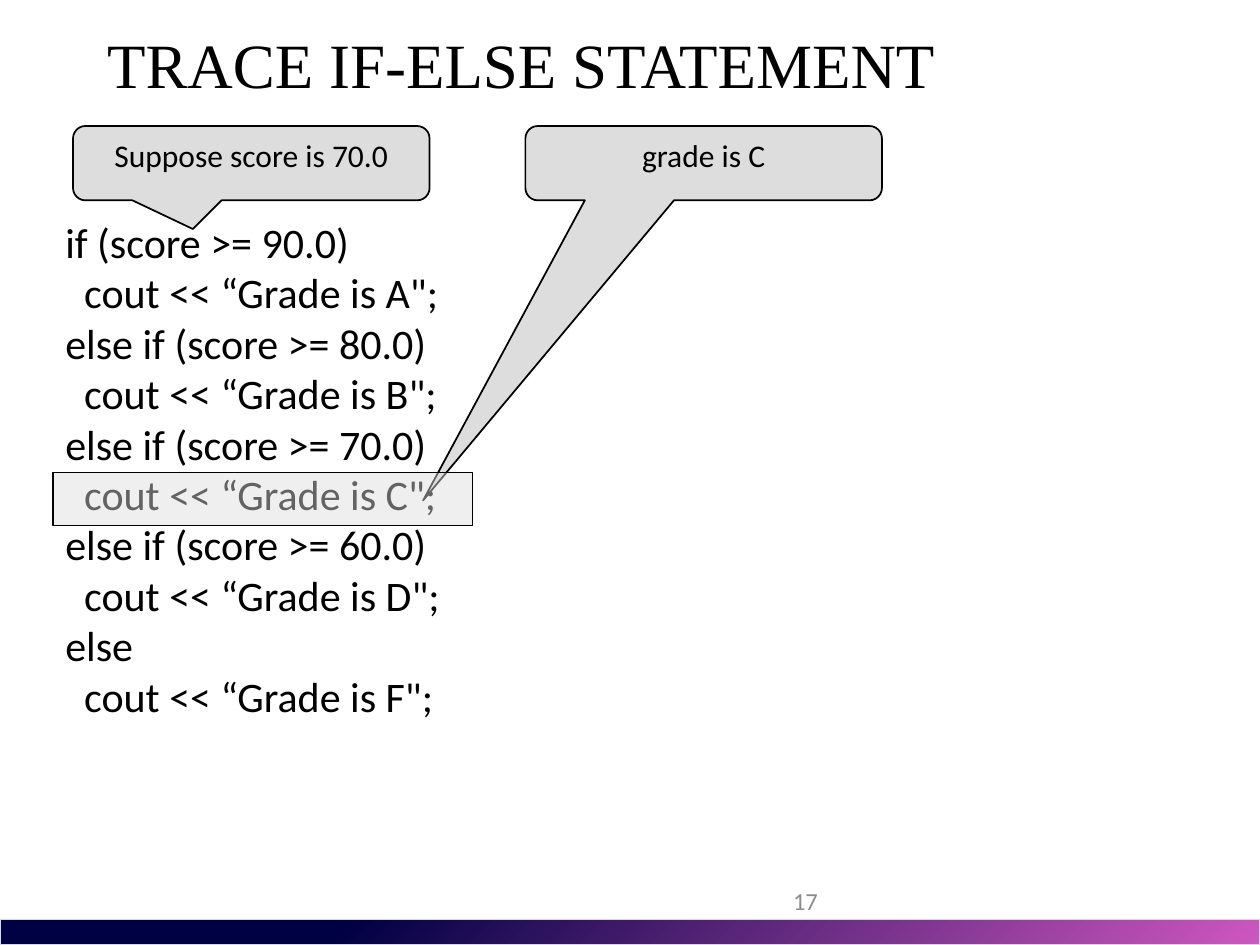
from dataclasses import dataclass

from pptx import Presentation
from pptx.dml.color import RGBColor
from pptx.enum.shapes import MSO_SHAPE
from pptx.enum.text import MSO_ANCHOR, MSO_AUTO_SIZE, PP_ALIGN
from pptx.oxml import parse_xml
from pptx.oxml.ns import nsdecls, qn
from pptx.util import Inches, Pt

BLACK = RGBColor(0x00, 0x00, 0x00)
GREY = RGBColor(0xDD, 0xDD, 0xDD)
PAGE_GREY = RGBColor(0x8C, 0x8C, 0x8C)
EDGE_GREY = RGBColor(0xD8, 0xD8, 0xD8)
NAVY = RGBColor(0x00, 0x00, 0x44)
PINK = RGBColor(0xCE, 0x57, 0xC1)

CODE_INDENT = Inches(0.15)
SHADOW = (
    f'<a:effectLst {nsdecls("a")}><a:outerShdw blurRad="39370" dist="22860" dir="5400000" '
    'rotWithShape="0"><a:srgbClr val="000000"><a:alpha val="35000"/></a:srgbClr>'
    '</a:outerShdw></a:effectLst>'
)


@dataclass
class Callout:
    text: str
    left: float
    tip_x: float
    tip_y: float


@dataclass
class CodeLine:
    text: str
    indented: bool = False


CALLOUTS = [
    Callout("Suppose score is 70.0", 0.58, -0.164, 0.885),
    Callout("grade is C", 4.17, -0.787, 4.536),
]

BRANCHES = [
    ("if (score >= 90.0)", "A"),
    ("else if (score >= 80.0)", "B"),
    ("else if (score >= 70.0)", "C"),
    ("else if (score >= 60.0)", "D"),
    ("else", "F"),
]
CODE = [
    line
    for condition, grade in BRANCHES
    for line in (CodeLine(condition), CodeLine(f'cout << “Grade is {grade}";', True))
]


def write(p, text: str, size: float, color=BLACK, name: str = "Calibri") -> None:
    r = p.add_run()
    r.text = text
    r.font.color.rgb = color
    for key, value in {"size": Pt(size), "name": name, "bold": False}.items():
        setattr(r.font, key, value)


def format_frame(tf, **values) -> None:
    for key, value in values.items():
        setattr(tf, key, value)


def add_box(s, kind, left: float, top: float, width: float, height: float,
            line=BLACK, weight: float = 1):
    sp = s.shapes.add_shape(kind, Inches(left), Inches(top), Inches(width), Inches(height))
    sp.shadow.inherit = False
    sp.fill.solid()
    sp.fill.fore_color.rgb = GREY
    sp.line.color.rgb = line
    sp.line.width = Pt(weight)
    return sp


def add_footer_bar(s) -> None:
    sp = add_box(s, MSO_SHAPE.RECTANGLE, 0, 7.3, 10, 0.2, EDGE_GREY, 0.75)
    sp.rotation = 180
    sp.fill.gradient()
    sp.fill.gradient_angle = 135
    for stop, (position, color) in zip(sp.fill.gradient_stops, [(0.27, NAVY), (1, PINK)]):
        stop.position = position
        stop.color.rgb = color
    effects = sp._element.spPr.find(qn("a:effectLst"))
    effects.getparent().replace(effects, parse_xml(SHADOW))


def add_callout(s, callout: Callout) -> None:
    sp = add_box(s, MSO_SHAPE.ROUNDED_RECTANGULAR_CALLOUT, callout.left, 1, 2.83, 0.59)
    for i, value in enumerate((callout.tip_x, callout.tip_y, 0.167)):
        sp.adjustments[i] = value
    format_frame(sp.text_frame, word_wrap=True, vertical_anchor=MSO_ANCHOR.TOP)
    p = sp.text_frame.paragraphs[0]
    p.alignment = PP_ALIGN.CENTER
    write(p, callout.text, 18)


def add_code(s, lines: list[CodeLine]) -> None:
    sp = s.shapes.add_textbox(Inches(0.42), Inches(1.67), Inches(3.66), Inches(4.14))
    tf = sp.text_frame
    format_frame(tf, word_wrap=True, auto_size=MSO_AUTO_SIZE.SHAPE_TO_FIT_TEXT)
    for i, line in enumerate(lines):
        p = tf.add_paragraph() if i else tf.paragraphs[0]
        if line.indented:
            p._p.get_or_add_pPr().set("marL", str(CODE_INDENT))
        write(p, line.text, 24)


def add_highlight(s) -> None:
    sp = add_box(s, MSO_SHAPE.RECTANGLE, 0.42, 3.75, 3.33, 0.42)
    color = sp._element.spPr.find(qn("a:solidFill"))[0]
    color.append(parse_xml(f'<a:alpha {nsdecls("a")} val="45000"/>'))


def main() -> None:
    prs = Presentation()
    prs.slide_width, prs.slide_height = Inches(10), Inches(7.5)
    s = prs.slides.add_slide(prs.slide_layouts[5])

    # Footer bar and page number
    add_footer_bar(s)
    number = s.shapes.add_textbox(Inches(3.42), Inches(6.95), Inches(3.17), Inches(0.4))
    format_frame(number.text_frame, word_wrap=False, vertical_anchor=MSO_ANCHOR.MIDDLE)
    p = number.text_frame.paragraphs[0]
    p.alignment = PP_ALIGN.RIGHT
    write(p, "17", 14, PAGE_GREY)

    # Title
    title = s.shapes.title
    place = {"left": 0.75, "top": 0, "width": 8.75, "height": 1}
    for key, value in place.items():
        setattr(title, key, Inches(value))
    format_frame(title.text_frame, vertical_anchor=MSO_ANCHOR.MIDDLE,
                 auto_size=MSO_AUTO_SIZE.NONE)
    p = title.text_frame.paragraphs[0]
    p.alignment = PP_ALIGN.LEFT
    write(p, "TRACE IF-ELSE STATEMENT", 36, name="Times New Roman")

    # Code, callouts and the highlighted line
    add_code(s, CODE)
    for callout in CALLOUTS:
        add_callout(s, callout)
    add_highlight(s)

    prs.save("out.pptx")


if __name__ == "__main__":
    main()
